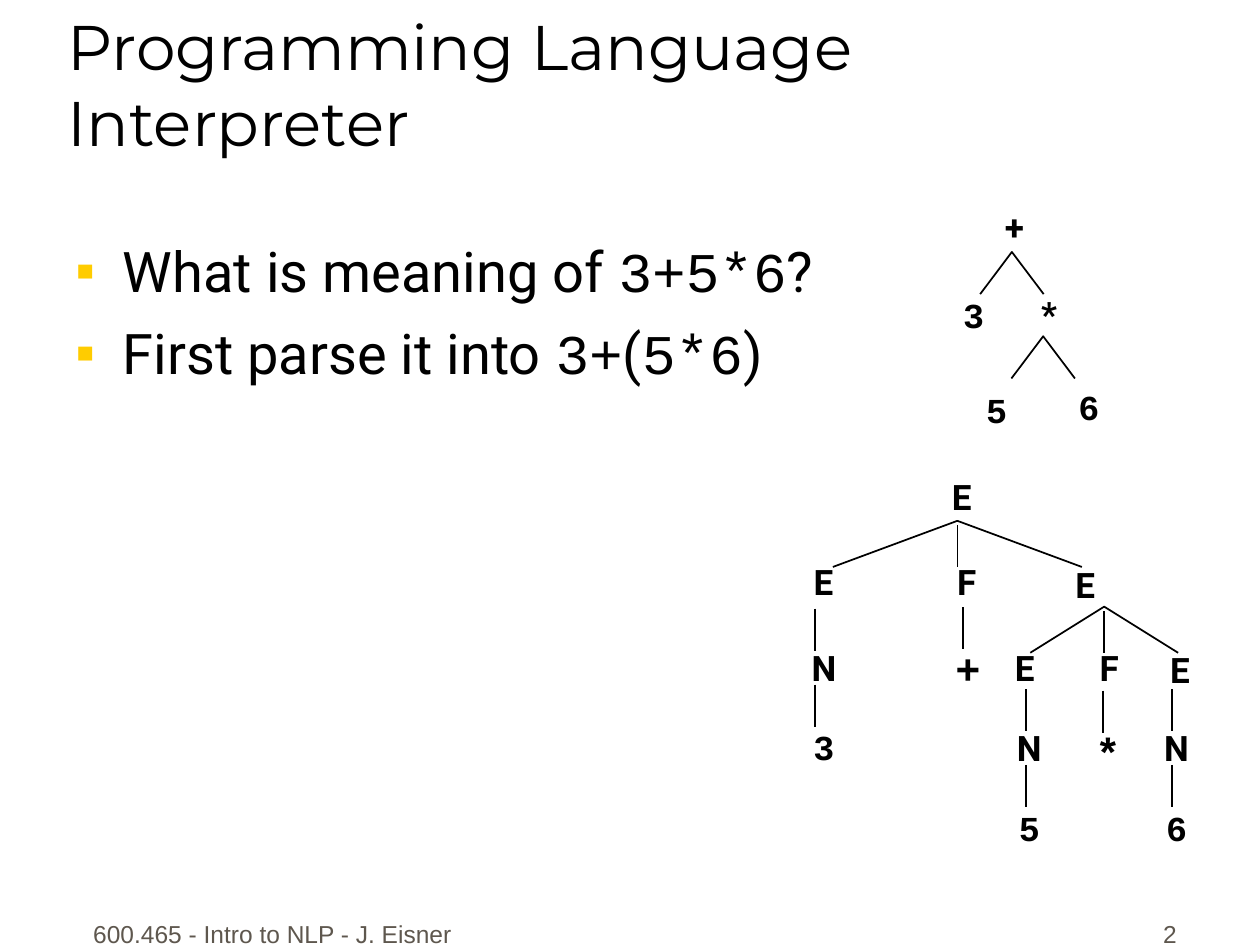
from lxml import etree
from pptx import Presentation
from pptx.dml.color import RGBColor
from pptx.enum.shapes import MSO_CONNECTOR
from pptx.enum.text import MSO_ANCHOR as Anchor, PP_ALIGN as Align
from pptx.oxml.ns import qn
from pptx.util import Cm, Pt

BLACK = RGBColor(0x00, 0x00, 0x00)
GREY = RGBColor(0x5E, 0x57, 0x4E)
GOLD = RGBColor(0xFF, 0xCC, 0x00)
HEADING, BODY, CODE, FOOTER = "Montserrat", "Roboto", "Courier New", "Arial"

STEM = 0.85
STEM_GAP = 0.09
HANGING = Cm(0.96)

QUESTIONS = [
    [("What is meaning of ", BODY), ("3+5*6", CODE), ("?", BODY)],
    [("First parse it into ", BODY), ("3+", CODE), ("(", BODY),
     ("5*6", CODE), (")", BODY)],
]

# Nodes: label, centre x, top, font, size
OPERATOR_NODES = [
    ("+", 20.45, 4.01, BODY, 20),
    ("3", 19.63, 5.79, CODE, 20),
    ("*", 21.15, 5.77, BODY, 20),
    ("5", 20.09, 7.70, CODE, 20),
    ("6", 21.95, 7.65, CODE, 20),
]
PARSE_NODES = [
    ("E", 19.39, 9.47, BODY, 20),
    ("E", 16.60, 11.18, BODY, 20),
    ("F", 19.49, 11.18, BODY, 20),
    ("E", 21.88, 11.23, BODY, 20),
    ("N", 16.61, 12.90, BODY, 20),
    ("+", 19.51, 12.83, CODE, 24),
    ("E", 20.66, 12.90, BODY, 20),
    ("F", 22.36, 12.90, BODY, 20),
    ("E", 23.79, 12.95, BODY, 20),
    ("3", 16.61, 14.50, CODE, 20),
    ("N", 20.75, 14.53, BODY, 20),
    ("*", 22.33, 14.53, CODE, 24),
    ("N", 23.72, 14.53, BODY, 20),
    ("5", 20.75, 16.13, CODE, 20),
    ("6", 23.72, 16.13, CODE, 20),
]
# Forks: apex x, apex y, half width, height
OPERATOR_FORKS = [(20.40, 5.08, 0.64, 0.85), (21.03, 6.78, 0.64, 0.85)]
PARSE_FORKS = [(19.30, 10.50, 2.51, 0.93), (22.26, 12.23, 1.49, 0.93)]
# Stems: x, top
PARSE_STEMS = [
    (16.43, 12.27), (16.43, 13.80), (19.41, 12.24), (22.23, 13.92),
    (20.68, 13.89), (20.68, 15.42), (23.62, 13.89), (23.62, 15.42),
]


def add_bullet(paragraph):
    props = paragraph._p.get_or_add_pPr()
    props.set("marL", str(HANGING))
    props.set("indent", str(-HANGING))
    color = etree.SubElement(props, qn("a:buClr"))
    etree.SubElement(color, qn("a:srgbClr")).set("val", str(GOLD))
    etree.SubElement(props, qn("a:buFont")).set("typeface", "Arial")
    etree.SubElement(props, qn("a:buChar")).set("char", "▪")


def add_text(slide, paragraphs, left, top, width, height, *, size, color=BLACK,
             bold=False, align=Align.LEFT, anchor=Anchor.TOP, before=0,
             wrap=True, bullets=False):
    """Each paragraph is a list of (text, font name) runs."""
    frame = slide.shapes.add_textbox(
        Cm(left), Cm(top), Cm(width), Cm(height)).text_frame
    frame.word_wrap = wrap
    frame.vertical_anchor = anchor
    for index, runs in enumerate(paragraphs):
        paragraph = frame.add_paragraph() if index else frame.paragraphs[0]
        paragraph.alignment = align
        paragraph.space_before = Pt(before)
        if bullets:
            add_bullet(paragraph)
        for text, font_name in runs:
            run = paragraph.add_run()
            run.text = text
            run.font.name = font_name
            run.font.size = Pt(size)
            run.font.bold = bold
            run.font.color.rgb = color


def add_node(slide, label, center, top, font_name, size):
    width = 1.0
    add_text(slide, [[(label, font_name)]], center - width / 2, top, width,
             0.25 + size * 0.043, size=size, bold=True, align=Align.CENTER,
             wrap=False)


def style_line(line):
    line.color.rgb = BLACK
    line.width = Pt(1)


def add_fork(slide, apex_x, apex_y, half_width, height):
    base = Cm(apex_y + height)
    builder = slide.shapes.build_freeform(Cm(apex_x - half_width), base)
    builder.add_line_segments(
        [(Cm(apex_x), Cm(apex_y)), (Cm(apex_x + half_width), base)],
        close=False)
    fork = builder.convert_to_shape()
    fork.shadow.inherit = False
    fork.fill.background()
    style_line(fork.line)


def add_stem(slide, x, top):
    stem = slide.shapes.add_connector(
        MSO_CONNECTOR.STRAIGHT, Cm(x), Cm(top), Cm(x), Cm(top + STEM))
    style_line(stem.line)
    etree.SubElement(stem._element.spPr, qn("a:effectLst"))


def add_tree(slide, nodes, forks, stems):
    for fork in forks:
        add_fork(slide, *fork)
    for stem in stems:
        add_stem(slide, *stem)
    for node in nodes:
        add_node(slide, *node)


def main():
    prs = Presentation()
    prs.slide_width, prs.slide_height = Cm(25.4), Cm(19.05)
    slide = prs.slides.add_slide(prs.slide_layouts[6])

    add_text(slide, [[("Programming Language Interpreter", HEADING)]],
             1.12, 0.15, 21.59, 3.18, size=36, anchor=Anchor.BOTTOM)
    add_text(slide, QUESTIONS, 1.27, 4.65, 22.71, 12.9, size=32, before=8,
             bullets=True)

    footer = dict(size=14, color=GREY, anchor=Anchor.BOTTOM, before=8.8)
    add_text(slide, [[("600.465 - Intro to NLP - J. Eisner", FOOTER)]],
             1.47, 17.98, 8.05, 1.27, align=Align.CENTER, **footer)
    add_text(slide, [[("2", FOOTER)]],
             18.69, 17.98, 5.28, 1.27, align=Align.RIGHT, **footer)

    add_tree(slide, OPERATOR_NODES, OPERATOR_FORKS, [])
    middle_stems = [(x, y + STEM_GAP) for x, y, _, _ in PARSE_FORKS]
    add_tree(slide, PARSE_NODES, PARSE_FORKS, middle_stems + PARSE_STEMS)

    prs.save("out.pptx")


if __name__ == "__main__":
    main()
